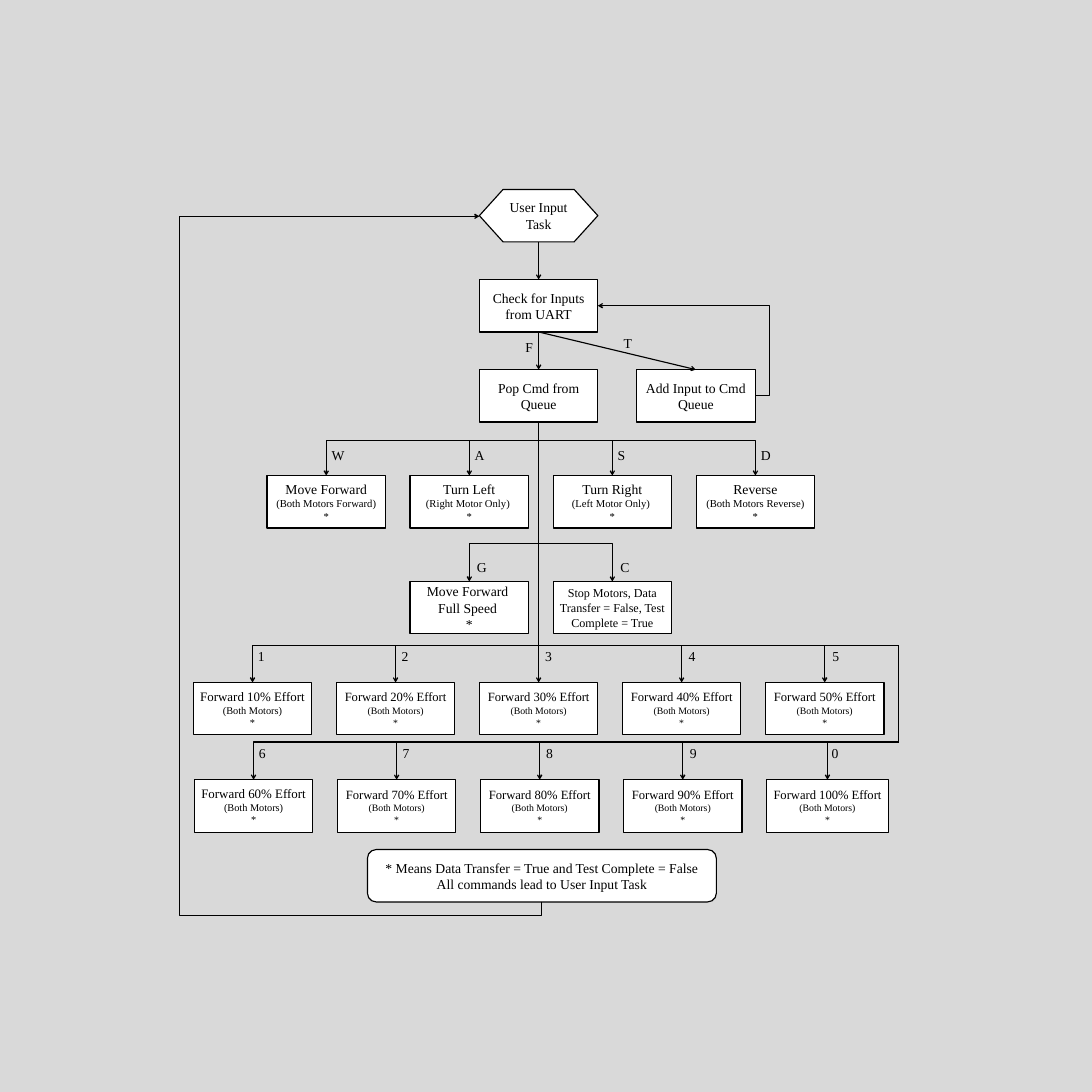
import pptx
import pptx.dml.color
import pptx.enum.shapes
import pptx.enum.text
import pptx.oxml
import pptx.oxml.ns
import pptx.util

Inches = pptx.util.Inches
SHAPES = pptx.enum.shapes.MSO_SHAPE
LINKS = pptx.enum.shapes.MSO_CONNECTOR
BLACK = pptx.dml.color.RGBColor(0x00, 0x00, 0x00)
WHITE = pptx.dml.color.RGBColor(0xFF, 0xFF, 0xFF)
GREY = pptx.dml.color.RGBColor(0xD9, 0xD9, 0xD9)
FONT = "Times New Roman"
NAMESPACE = pptx.oxml.ns.nsdecls("a")
LINE_WIDTH = pptx.util.Pt(1.5)
STEP_WIDTH, STEP_HEIGHT = 2.17, 0.96
COLUMN_PITCH = 2.62
TRUNK = (9.86, 7.73)
RETURN_X = 16.46


def write(frame, lines, align):
    """Fill a text frame with (text, size) lines, one paragraph each."""
    frame.word_wrap = True
    frame.text = "\n".join(text for text, size in lines)
    for paragraph, (text, size) in zip(frame.paragraphs, lines):
        paragraph.alignment = align
        for run in paragraph.runs:
            run.font.name = FONT
            run.font.size = pptx.util.Pt(size)
            run.font.color.rgb = BLACK


def add_step(slide, box, lines, outline=SHAPES.FLOWCHART_PROCESS):
    """Draw one white flowchart step with centred text."""
    step = slide.shapes.add_shape(outline, *map(Inches, box))
    step.shadow.inherit = False
    step.fill.solid()
    step.fill.fore_color.rgb = WHITE
    step.line.color.rgb = BLACK
    step.line.width = LINE_WIDTH
    step.text_frame.vertical_anchor = pptx.enum.text.MSO_ANCHOR.MIDDLE
    write(step.text_frame, lines, pptx.enum.text.PP_ALIGN.CENTER)


def add_key(slide, left, top, key):
    """Write a branch label beside its arrow."""
    label = slide.shapes.add_textbox(*map(Inches, (left, top, 0.35, 0.4)))
    write(label.text_frame, [(key, 18)], pptx.enum.text.PP_ALIGN.LEFT)


def add_link(slide, start, end, kind=LINKS.STRAIGHT, arrow=True):
    """Draw one black connector between two points."""
    link = slide.shapes.add_connector(kind, *map(Inches, start + end))
    link.line.color.rgb = BLACK
    link.line.width = LINE_WIDTH
    if arrow:
        link.line._get_or_add_ln().append(
            pptx.oxml.parse_xml(f'<a:tailEnd {NAMESPACE} type="arrow"/>'))
    link._element.spPr.append(pptx.oxml.parse_xml(f"<a:effectLst {NAMESPACE}/>"))
    return link


def add_elbow(slide, start, end, preset="bentConnector3", bends=()):
    """Draw an elbow that leaves sideways and turns at the given fractions."""
    elbow = add_link(slide, start, end, LINKS.ELBOW)
    geometry = elbow._element.spPr.prstGeom
    geometry.set("prst", preset)
    guides = geometry.get_or_add_avLst()
    for number, bend in enumerate(bends, 1):
        guides.append(pptx.oxml.parse_xml(
            f'<a:gd {NAMESPACE} name="adj{number}" fmla="val {round(bend * 100000)}"/>'))
    return elbow


def add_upright_elbow(slide, start, end, preset="bentConnector3", bends=()):
    """Draw an elbow that leaves vertically, as a sideways one on a quarter turn."""
    across, down = end[0] - start[0], end[1] - start[1]
    middle = (start[0] + across / 2, start[1] + down / 2)
    turn = 1 if across < 0 else -1
    reach = (turn * down / 2, -turn * across / 2)
    elbow = add_elbow(slide, (middle[0] - reach[0], middle[1] - reach[1]),
                      (middle[0] + reach[0], middle[1] + reach[1]), preset, bends)
    elbow._element.spPr.xfrm.set("rot", str(turn % 4 * 5400000))


def draw_intake(slide, box):
    """Draw the task start, the input check and the two queue steps."""
    left, top, width, height = box
    centre = left + STEP_WIDTH / 2
    pitch = (height - STEP_HEIGHT) / 2
    check_top, queue_top = top + pitch, top + 2 * pitch
    check_bottom = check_top + STEP_HEIGHT
    add_left = left + width - STEP_WIDTH
    add_step(slide, (left, top, STEP_WIDTH, STEP_HEIGHT),
             [("User Input Task", 18)], SHAPES.FLOWCHART_PREPARATION)
    for step_left, step_top, text in (
            (left, check_top, "Check for Inputs from UART"),
            (left, queue_top, "Pop Cmd from Queue"),
            (add_left, queue_top, "Add Input to Cmd Queue")):
        add_step(slide, (step_left, step_top, STEP_WIDTH, STEP_HEIGHT), [(text, 18)])
    add_link(slide, (centre, top + STEP_HEIGHT), (centre, check_top))
    add_link(slide, (centre, check_bottom), (centre, queue_top))
    add_link(slide, (centre, check_bottom), (add_left + STEP_WIDTH / 2, queue_top))
    add_elbow(slide, (left + width, queue_top + STEP_HEIGHT / 2),
              (left + STEP_WIDTH, check_top + STEP_HEIGHT / 2), bends=[-0.09])
    add_key(slide, centre - 0.34, check_bottom + 0.07, "F")
    add_key(slide, centre + 1.46, check_bottom, "T")


def draw_commands(slide, box, commands, key_place, source=TRUNK):
    """Draw a row of commands branching from the source along the top of the box."""
    left, top, width, height = box
    step_top = top + height - STEP_HEIGHT
    key_shift, key_drop, key_pitch = key_place
    for column, (key, lines) in enumerate(commands):
        step_left = left + column * COLUMN_PITCH
        is_last = column == len(commands) - 1
        step_width = left + width - step_left if is_last else STEP_WIDTH
        target = (step_left + step_width / 2, step_top)
        if source[1] < top:
            bend = (top - source[1]) / (step_top - source[1])
            add_upright_elbow(slide, source, target, bends=[bend])
        else:
            add_elbow(slide, source, target, "bentConnector2")
        add_step(slide, (step_left, step_top, step_width, STEP_HEIGHT), lines)
        add_key(slide, left + STEP_WIDTH / 2 + key_shift + column * key_pitch,
                top + key_drop, key)


def effort_commands(first):
    """List five effort commands, starting at the given tenth."""
    commands = []
    for tenth in range(first, first + 5):
        title, note = (17, 13.6) if tenth == first else (16.6, 12.9)
        commands.append((str(tenth % 10), [(f"Forward {tenth * 10}% Effort", title),
                                           ("(Both Motors)", note), ("*", note)]))
    return commands


def draw_legend(slide, box, task):
    """Draw the closing note and the line that returns to the task."""
    left, top, width, height = box
    add_step(slide, box,
             [("* Means Data Transfer = True and Test Complete = False", 18),
              ("All commands lead to User Input Task", 18)],
             SHAPES.FLOWCHART_ALTERNATE_PROCESS)
    add_upright_elbow(slide, (left + width / 2, top + height), task,
                      "bentConnector4", [-0.02, 5.8])


def main():
    """Build the user input flowchart."""
    deck = pptx.Presentation()
    deck.slide_width = deck.slide_height = Inches(20)
    slide = deck.slides.add_slide(deck.slide_layouts[6])
    slide.background.fill.solid()
    slide.background.fill.fore_color.rgb = GREY

    moves = [
        ("W", [("Move Forward", 18), ("(Both Motors Forward) *", 14)]),
        ("A", [("Turn Left", 18), ("(Right Motor Only) ", 14), ("*", 14)]),
        ("S", [("Turn Right", 18), ("(Left Motor Only) ", 14), ("*", 14)]),
        ("D", [("Reverse", 18), ("(Both Motors Reverse)", 14), ("*", 14)]),
    ]
    run_controls = [
        ("G", [("Move Forward ", 18), ("Full Speed ", 18), ("*", 18)]),
        ("C", [("Stop Motors, Data Transfer = False, Test Complete = True", 16)]),
    ]
    high_efforts = effort_commands(6)
    draw_intake(slide, (8.78, 3.47, 5.05, 4.26))
    draw_commands(slide, (4.89, 8.07, 10.03, 1.6), moves, (0, 0.07, 2.62))
    draw_commands(slide, (7.51, 9.95, 4.79, 1.66), run_controls, (0.04, 0.24, 2.63))
    draw_commands(slide, (3.54, 11.82, 12.65, 1.64), effort_commands(1), (0, -0.01, 2.63))
    draw_commands(slide, (3.56, 13.59, 10.03, 1.65), high_efforts[:4],
                  (0, 0.01, 2.63), (RETURN_X, 13.59))
    draw_commands(slide, (14.04, 13.59, 2.23, 1.65), high_efforts[4:],
                  (0.01, 0.01, 2.63), (RETURN_X, 11.83))
    add_link(slide, (15.1, 11.83), (RETURN_X, 11.83), arrow=False)
    draw_legend(slide, (6.73, 15.56, 6.39, STEP_HEIGHT), (8.78, 3.96))
    deck.save("out.pptx")


if __name__ == "__main__":
    main()
